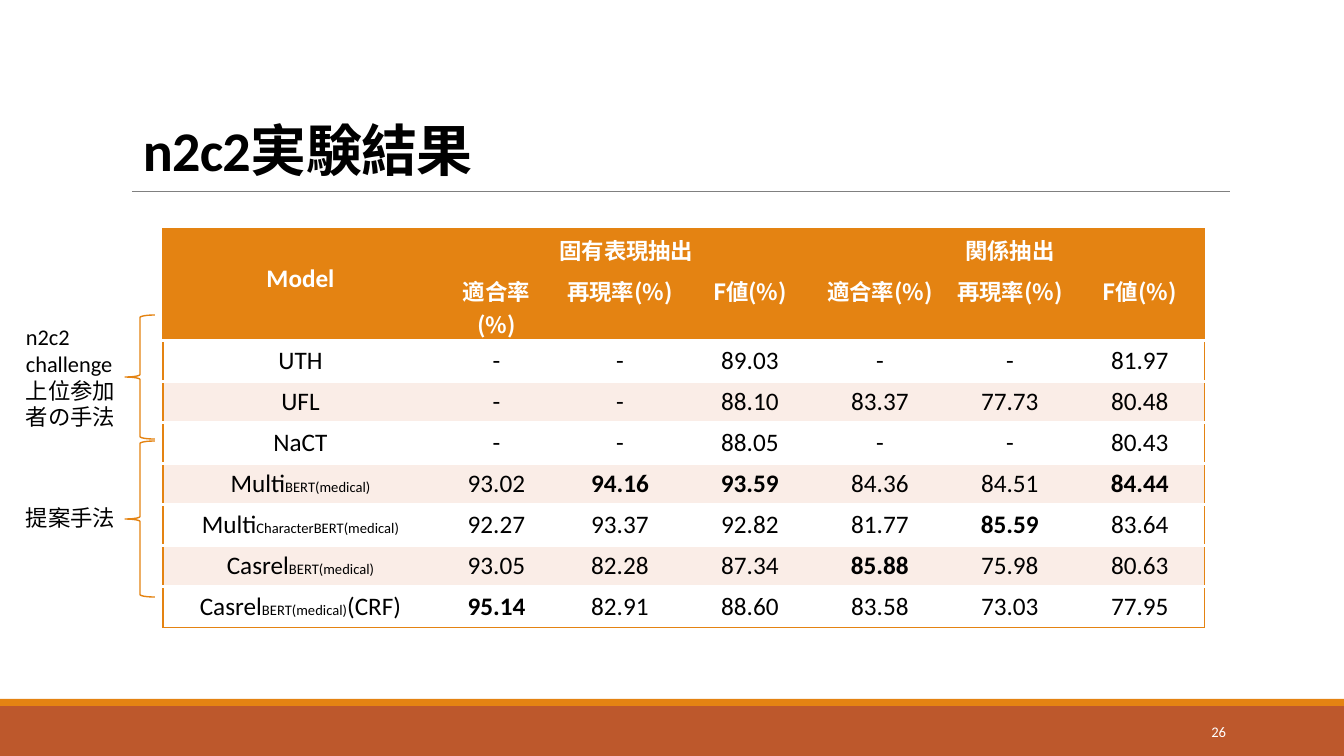
import dataclasses
import itertools
import typing

import pptx
import pptx.dml.color
import pptx.enum.shapes
import pptx.enum.text
import pptx.oxml.ns
import pptx.util
from lxml import etree

SHAPE = pptx.enum.shapes.MSO_SHAPE
ALIGN = pptx.enum.text.PP_ALIGN
ANCHOR = pptx.enum.text.MSO_ANCHOR
SCALE = 12192000 / 1344


@dataclasses.dataclass(frozen=True)
class Theme:
    orange: str = "E48312"
    rust: str = "BD582C"
    pale: str = "FAEDE7"
    white: str = "FFFFFF"
    black: str = "000000"
    gray: str = "808080"
    latin: str = "Calibri"
    asian: str = "Noto Sans CJK JP"
    title: float = 40
    body: float = 18
    small: float = 16
    page: float = 10.5
    thin: float = 1
    thick: float = 2.25


THEME = Theme()


@dataclasses.dataclass(frozen=True)
class Run:
    text: str
    size: float = THEME.body
    color: str = THEME.black
    font: str = THEME.latin
    bold: bool = False
    base: int = 0
    track: int = 0


@dataclasses.dataclass(frozen=True)
class Box:
    left: int
    top: int
    width: int
    height: int

    def emu(self) -> list[int]:
        return [px(n) for n in dataclasses.astuple(self)]


@dataclasses.dataclass(frozen=True)
class Group:
    """A label and the brace that ties it to rows of the table."""
    label: Box
    brace: Box
    runs: list[Run]


class Edge(typing.NamedTuple):
    color: str
    width: float


FRAME = Edge(THEME.orange, THEME.thin)
RULE = Edge(THEME.white, THEME.thick)

TITLE = [Run("n2c2", THEME.title, bold=True, track=-50),
         Run("実験結果", THEME.title, font=THEME.asian, bold=True, track=-50)]
GROUPS = [
    Group(Box(16, 499, 117, 37), Box(125, 441, 30, 156),
          [Run("提案手法", THEME.small, font=THEME.asian)]),
    Group(Box(16, 318, 117, 119), Box(125, 315, 30, 124),
          [Run("n2c2 challenge", THEME.small),
           Run("上位参加者の手法", THEME.small, font=THEME.asian)]),
]
TASKS = ["固有表現抽出", "関係抽出"]
SCORES = ["適合率(%)", "再現率(%)", "F値(%)"]
# Model name parts are plain, subscript, plain; a star marks a best score.
MODELS = [
    (["UTH"], "- - 89.03 - - 81.97"),
    (["UFL"], "- - 88.10 83.37 77.73 80.48"),
    (["NaCT"], "- - 88.05 - - 80.43"),
    (["Multi", "BERT(medical)"], "93.02 *94.16 *93.59 84.36 84.51 *84.44"),
    (["Multi", "CharacterBERT(medical)"], "92.27 93.37 92.82 81.77 *85.59 83.64"),
    (["Casrel", "BERT(medical)"], "93.05 82.28 87.34 *85.88 75.98 80.63"),
    (["Casrel", "BERT(medical)", "(CRF)"], "*95.14 82.91 88.60 83.58 73.03 77.95"),
]
WIDTHS = [275, 117] + [130] * 5
ROW = 41


def px(count: float) -> int:
    return round(count * SCALE)


def rgb(color: str) -> pptx.dml.color.RGBColor:
    return pptx.dml.color.RGBColor.from_string(color)


def write(frame, runs: list[Run], align=ALIGN.LEFT, lead: float = 1.0) -> None:
    para = frame.paragraphs[0]
    para.alignment = align
    para.line_spacing = lead
    for item in runs:
        run = para.add_run()
        run.text = item.text
        run.font.name = item.font
        run.font.size = pptx.util.Pt(item.size)
        run.font.bold = item.bold
        run.font.color.rgb = rgb(item.color)
        props = run.font._element
        etree.SubElement(props, pptx.oxml.ns.qn("a:ea"), typeface=THEME.asian)
        if item.base:
            props.set("baseline", str(item.base))
        if item.track:
            props.set("spc", str(item.track))


def add_text(slide, box: Box, runs: list[Run], anchor=ANCHOR.TOP,
             align=ALIGN.LEFT, lead: float = 1.0) -> None:
    frame = slide.shapes.add_textbox(*box.emu()).text_frame
    frame.word_wrap = True
    frame.vertical_anchor = anchor
    write(frame, runs, align, lead)


def add_band(slide, box: Box, color: str) -> None:
    band = slide.shapes.add_shape(SHAPE.RECTANGLE, *box.emu())
    band.shadow.inherit = False
    band.fill.solid()
    band.fill.fore_color.rgb = rgb(color)
    band.line.fill.background()


def add_rule(slide, left: int, right: int, top: int) -> None:
    rule = slide.shapes.add_connector(pptx.enum.shapes.MSO_CONNECTOR.STRAIGHT,
                                      px(left), px(top), px(right), px(top))
    rule.line.color.rgb = rgb(THEME.gray)
    rule.line.width = pptx.util.Pt(0.5)
    etree.SubElement(rule._element.spPr, pptx.oxml.ns.qn("a:effectLst"))


def add_group(slide, group: Group) -> None:
    brace = slide.shapes.add_shape(SHAPE.LEFT_BRACE, *group.brace.emu())
    brace.shadow.inherit = False
    brace.fill.background()
    brace.line.color.rgb = rgb(THEME.orange)
    brace.line.width = pptx.util.Pt(THEME.thin)
    add_text(slide, group.label, group.runs)


def set_edges(cell, edges: dict[str, Edge]) -> None:
    """Draw the given sides and leave the others without a line."""
    props = cell._tc.get_or_add_tcPr()
    qn = pptx.oxml.ns.qn
    for spot, side in enumerate("LRTB"):
        line = etree.Element(qn(f"a:ln{side}"))
        if side in edges:
            edge = edges[side]
            line.set("w", str(pptx.util.Pt(edge.width)))
            fill = etree.SubElement(line, qn("a:solidFill"))
            etree.SubElement(fill, qn("a:srgbClr"), val=edge.color)
        else:
            etree.SubElement(line, qn("a:noFill"))
        props.insert(spot, line)


def add_table(slide) -> None:
    rows, cols = len(MODELS) + 2, len(WIDTHS)
    box = Box(163, 229, sum(WIDTHS), ROW * rows)
    table = slide.shapes.add_table(rows, cols, *box.emu()).table
    table.first_row = table.horz_banding = False
    for col, width in zip(table.columns, WIDTHS):
        col.width = px(width)
    for row in table.rows:
        row.height = px(ROW)

    for r, c in itertools.product(range(rows), range(cols)):
        cell = table.cell(r, c)
        color = THEME.orange if r < 2 else (THEME.white, THEME.pale)[r % 2]
        cell.fill.solid()
        cell.fill.fore_color.rgb = rgb(color)
        if c and r != 1:
            cell.vertical_anchor = ANCHOR.MIDDLE
        edges = {"T": FRAME if r < 2 else RULE,
                 "B": FRAME if r in (0, rows - 1) and (r or c) else RULE}
        if c == 0:
            edges["L"] = FRAME
        if c == cols - 1:
            edges["R"] = FRAME
        set_edges(cell, edges)

    def fill(r: int, c: int, runs: list[Run]) -> None:
        write(table.cell(r, c).text_frame, runs, ALIGN.CENTER)

    table.cell(0, 0).merge(table.cell(1, 0))
    table.cell(0, 0).margin_top = px(35)
    fill(0, 0, [Run("Model", color=THEME.white, bold=True)])
    for t, task in enumerate(TASKS):
        first = 1 + t * len(SCORES)
        table.cell(0, first).merge(table.cell(0, first + len(SCORES) - 1))
        fill(0, first, [Run(task, THEME.small, THEME.white, bold=True)])
        for c, score in enumerate(SCORES, first):
            fill(1, c, [Run(score, THEME.small, THEME.white, THEME.asian, True)])
    for r, (parts, scores) in enumerate(MODELS, 2):
        fill(r, 0, [Run(part, base=-25 * (n % 2)) for n, part in enumerate(parts)])
        for c, score in enumerate(scores.split(), 1):
            fill(r, c, [Run(score.lstrip("*"), bold=score.startswith("*"))])


def main() -> None:
    deck = pptx.Presentation()
    deck.slide_width, deck.slide_height = px(1344), px(756)
    slide = deck.slides.add_slide(deck.slide_layouts[6])
    add_band(slide, Box(0, 706, 1344, 50), THEME.rust)
    add_band(slide, Box(0, 699, 1344, 7), THEME.orange)
    add_rule(slide, 132, 1230, 191)
    add_text(slide, Box(133, 83, 1102, 105), TITLE, ANCHOR.BOTTOM, lead=0.85)
    add_text(slide, Box(1092, 712, 144, 40), [Run("26", THEME.page, THEME.white)],
             ANCHOR.MIDDLE, ALIGN.RIGHT)
    add_table(slide)
    for group in GROUPS:
        add_group(slide, group)
    deck.save("out.pptx")


if __name__ == "__main__":
    main()
